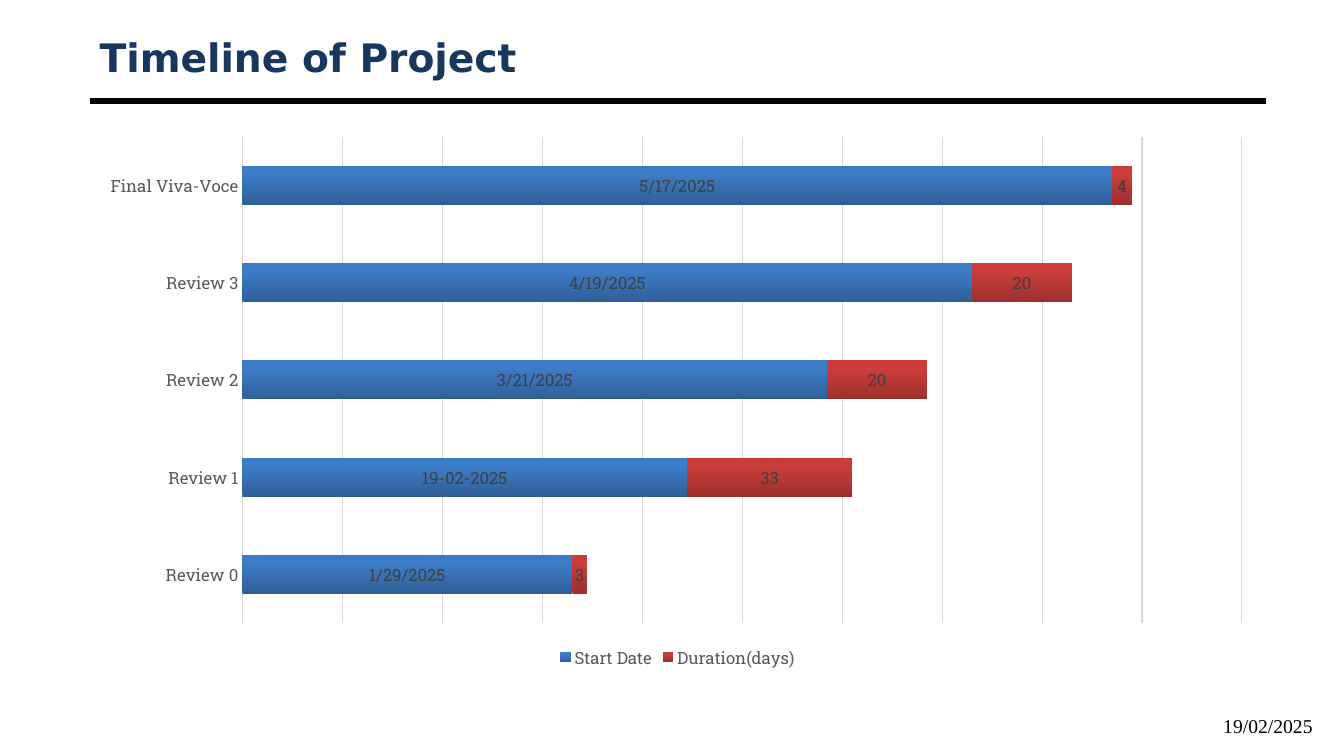
"""Build the project timeline slide with a stacked bar chart."""
import copy

import lxml.etree
import pptx
import pptx.chart.data
import pptx.dml.color
import pptx.enum.chart
import pptx.enum.shapes
import pptx.enum.text
import pptx.oxml.ns
import pptx.util

qn = pptx.oxml.ns.qn
Pt = pptx.util.Pt
RGB = pptx.dml.color.RGBColor.from_string
XL = pptx.enum.chart
ALIGN = pptx.enum.text.PP_ALIGN
MIDDLE = pptx.enum.text.MSO_ANCHOR.MIDDLE

THEME = {
    "title": {"name": "DejaVu Sans", "size": 28, "bold": True, "color": "17375E"},
    "date": {"name": "Times New Roman", "size": 14, "color": "000000"},
    "chart": {"name": "Roboto Slab", "size": 10, "color": "000000"},
    "axis": {"name": "Roboto Slab", "size": 12, "color": "595959"},
    "label": {"name": "Roboto Slab", "size": 12, "color": "404040"},
    "rule": {"color": "000000", "width": 4.5},
    "axis_line": {"color": "D9D9D9", "width": 1},
    "grid": {"color": "D9D9D9", "width": 0.75},
    "stops": (0, 0.8, 1),
    "series": (("2F5F99", "3D7CC7", "3A7CCB"), ("9C2F2D", "CB3E3A", "CE3B37")),
}

DATE_FORMAT = "m/d/yyyy"
MILESTONES = (
    ("Review 0", 45686, 3),
    ("Review 1", 45709, 33),
    ("Review 2", 45737, 20),
    ("Review 3", 45766, 20),
    ("Final Viva-Voce", 45794, 4),
)
PLOT_AREA = {"x": 0.13, "y": 0.02, "w": 0.85, "h": 0.89}


def assign(obj, values):
    for name, value in values.items():
        setattr(obj, name, value)


class Deck:
    COLS, ROWS = 60, 30

    def __init__(self, theme):
        self.theme = theme
        self.prs = pptx.Presentation()
        assign(self.prs, {"slide_width": pptx.util.Inches(13.33),
                          "slide_height": pptx.util.Inches(7.5)})
        self.s = self.prs.slides.add_slide(self.prs.slide_layouts[5])

    def box(self, col, row, cols, rows):
        dx = self.prs.slide_width / self.COLS
        dy = self.prs.slide_height / self.ROWS
        return [round(v) for v in (col * dx, row * dy, cols * dx, rows * dy)]

    def font(self, font, style):
        values = dict(self.theme[style])
        font.color.rgb = RGB(values.pop("color"))
        assign(font, {**values, "size": Pt(values["size"])})

    def stroke(self, line, style):
        line.color.rgb = RGB(self.theme[style]["color"])
        line.width = Pt(self.theme[style]["width"])

    def fill_text(self, sp, text, style, align):
        tf = sp.text_frame
        assign(tf, {"word_wrap": True, "vertical_anchor": MIDDLE,
                    "auto_size": pptx.enum.text.MSO_AUTO_SIZE.NONE})
        p = tf.paragraphs[0]
        p.alignment = align
        r = p.add_run()
        r.text = text
        self.font(r.font, style)

    def title(self, text, *cells):
        sp = self.s.shapes.title
        assign(sp, dict(zip(("left", "top", "width", "height"), self.box(*cells))))
        self.fill_text(sp, text, "title", ALIGN.LEFT)

    def text(self, text, style, align, *cells):
        sp = self.s.shapes.add_textbox(*self.box(*cells))
        self.fill_text(sp, text, style, align)

    def rule(self, col, row, cols):
        x, y, w, _ = self.box(col, row, cols, 0)
        straight = pptx.enum.shapes.MSO_CONNECTOR.STRAIGHT
        line = self.s.shapes.add_connector(straight, x, y, x + w, y)
        self.stroke(line.line, "rule")
        lxml.etree.SubElement(line._element.spPr, qn("a:effectLst"))

    def gradient(self, ser, colors):
        fill = ser.format.fill
        fill.gradient()
        fill.gradient_angle = 90
        stop_list = ser._element.find(".//" + qn("a:gsLst"))
        stop_list.append(copy.deepcopy(stop_list[-1]))
        for stop, position, color in zip(fill.gradient_stops, self.theme["stops"], colors):
            stop.position = position
            stop.color.rgb = RGB(color)

    def labels(self, ser, number_format):
        labels = ser.data_labels
        assign(labels, {"show_value": True, "number_format": number_format,
                        "number_format_is_linked": False,
                        "position": XL.XL_LABEL_POSITION.CENTER})
        self.font(labels.font, "label")

    def point_label(self, ser, index, text):
        label = ser.points[index].data_label
        r = label.text_frame.paragraphs[0].add_run()
        r.text = text
        self.font(r.font, "label")
        label.position = XL.XL_LABEL_POSITION.CENTER

    def place_plot(self, chart, shares):
        area = chart._chartSpace.find(".//" + qn("c:plotArea"))
        for old in area.findall(qn("c:layout")):
            area.remove(old)
        layout = lxml.etree.Element(qn("c:layout"))
        area.insert(0, layout)
        manual = lxml.etree.SubElement(layout, qn("c:manualLayout"))
        settings = {"layoutTarget": "inner", "xMode": "edge", "yMode": "edge", **shares}
        for tag, value in settings.items():
            lxml.etree.SubElement(manual, qn("c:" + tag)).set("val", str(value))

    def timeline(self, milestones, *cells):
        names, starts, durations = zip(*milestones)
        data = pptx.chart.data.CategoryChartData()
        data.categories = names
        data.add_series("Start Date", starts, DATE_FORMAT)
        data.add_series("Duration(days)", durations, "General")
        chart = self.s.shapes.add_chart(
            XL.XL_CHART_TYPE.BAR_STACKED, *self.box(*cells), data).chart
        assign(chart, {"has_title": False, "has_legend": True})
        self.font(chart.font, "chart")
        assign(chart.legend, {"position": XL.XL_LEGEND_POSITION.BOTTOM,
                              "include_in_layout": False})
        self.font(chart.legend.font, "axis")

        cat, val = chart.category_axis, chart.value_axis
        assign(cat, {"major_tick_mark": XL.XL_TICK_MARK.NONE,
                     "minor_tick_mark": XL.XL_TICK_MARK.NONE})
        self.font(cat.tick_labels.font, "axis")
        self.stroke(cat.format.line, "axis_line")
        assign(val, {"minimum_scale": 45620, "maximum_scale": 45820, "major_unit": 20,
                     "has_major_gridlines": True, "visible": False})
        assign(val.tick_labels, {"number_format": DATE_FORMAT,
                                 "number_format_is_linked": False})
        self.stroke(val.major_gridlines.format.line, "grid")

        plot = chart.plots[0]
        assign(plot, {"gap_width": 150, "overlap": 100, "vary_by_categories": False})
        formats = (DATE_FORMAT, "General")
        for ser, colors, number_format in zip(plot.series, self.theme["series"], formats):
            self.gradient(ser, colors)
            self.labels(ser, number_format)
        self.point_label(plot.series[0], 1, "19-02-2025")
        self.place_plot(chart, PLOT_AREA)


def main():
    deck = Deck(THEME)
    deck.rule(4, 4, 52.5)
    deck.title("Timeline of Project", 4, 1.2, 52.5, 2.12)
    deck.timeline(MILESTONES, 4, 5, 52.5, 21.68)
    deck.text("19/02/2025", "date", ALIGN.RIGHT, 45.05, 28, 14, 1.6)
    deck.prs.save("out.pptx")


if __name__ == "__main__":
    main()
